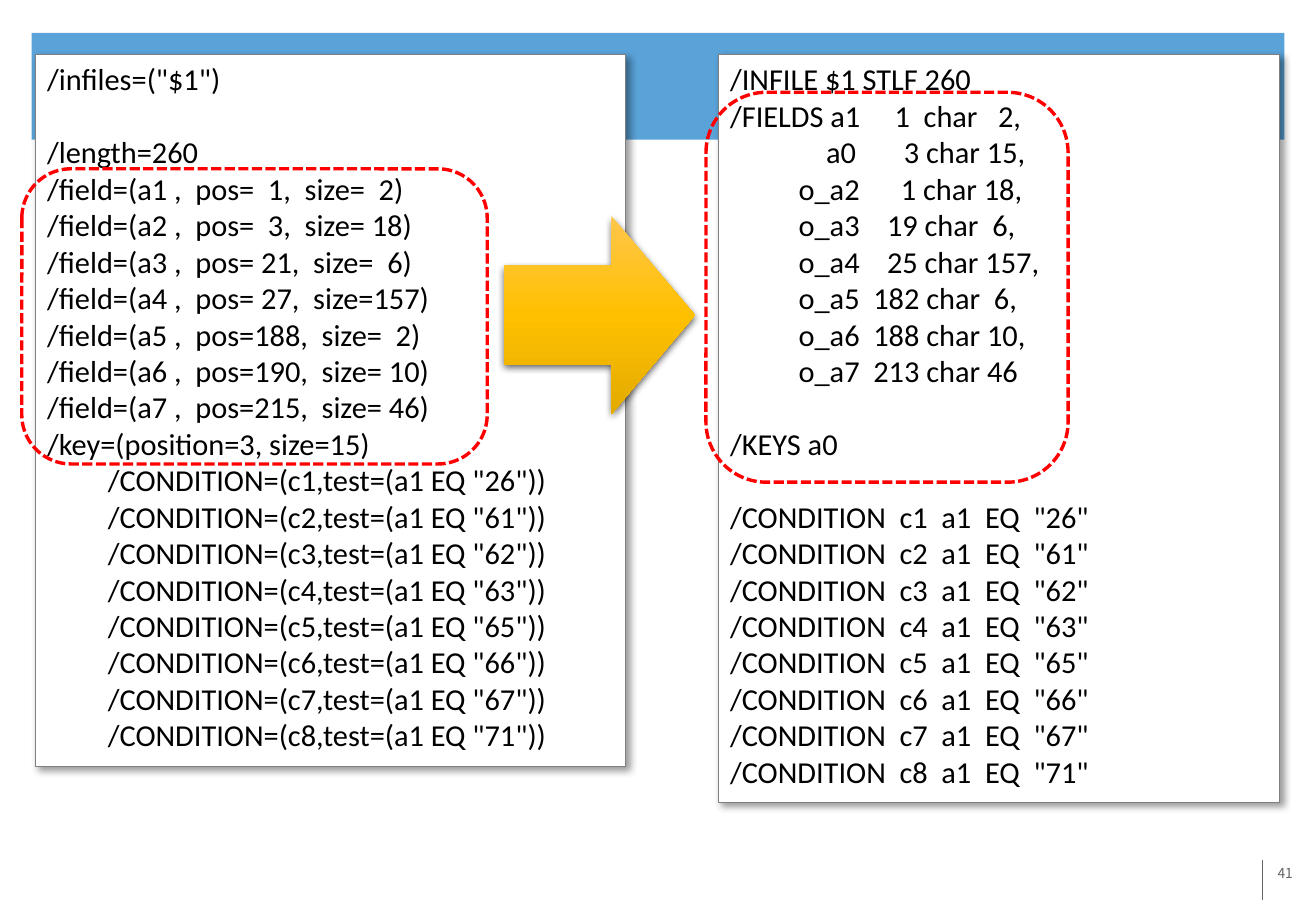
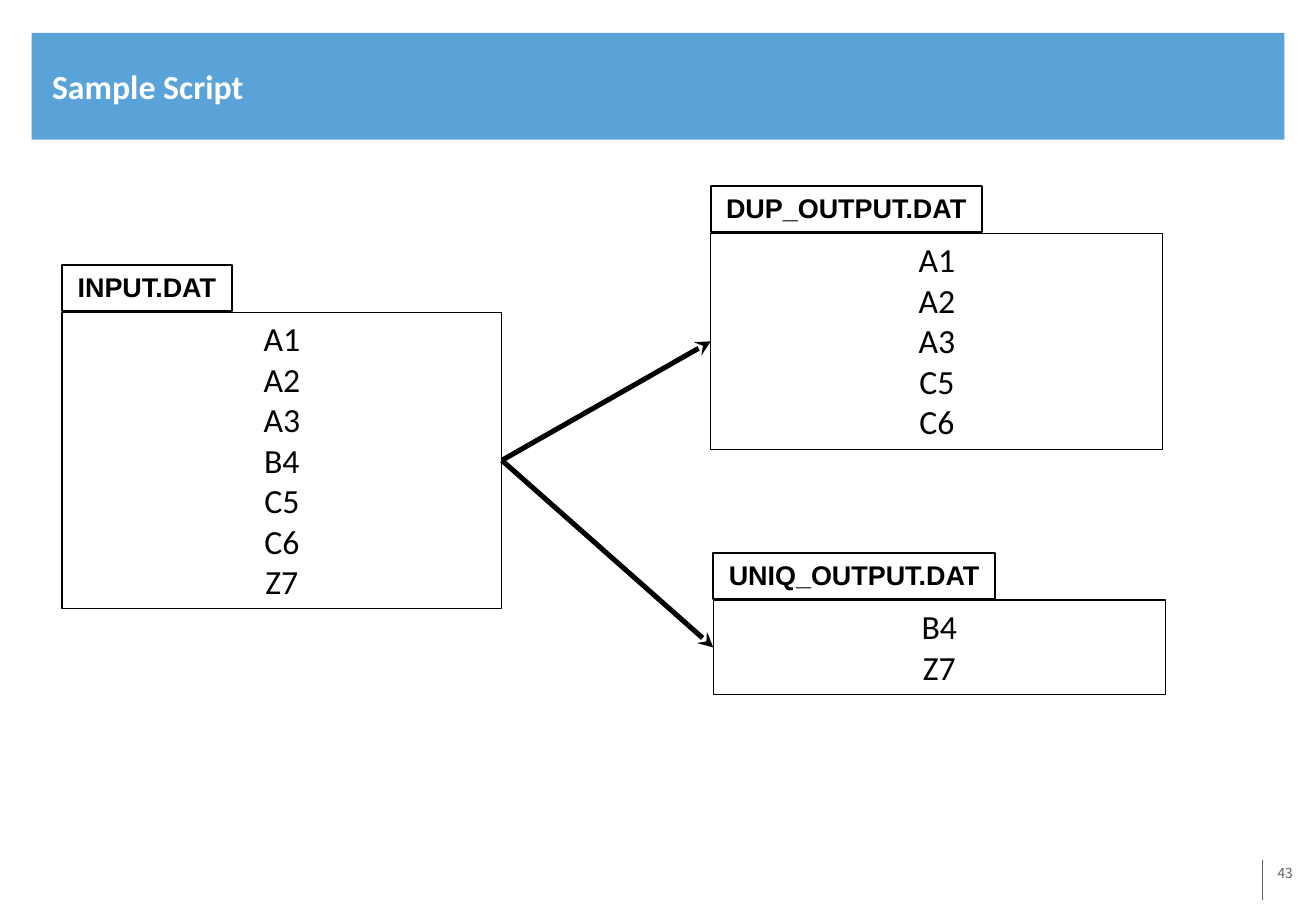
import copy

import pptx
import pptx.dml.color
import pptx.enum.dml
import pptx.enum.shapes
import pptx.enum.text
import pptx.oxml
import pptx.oxml.ns
import pptx.util
from lxml import etree

Inches = pptx.util.Inches
Pt = pptx.util.Pt
Shape = pptx.enum.shapes.MSO_SHAPE
Align = pptx.enum.text.PP_ALIGN
Anchor = pptx.enum.text.MSO_ANCHOR
qn = pptx.oxml.ns.qn

COLORS = {
    "band": "5AA3D9",
    "footer": "636467",
    "text": "000000",
    "paper": "FFFFFF",
    "border": "808080",
    "highlight": "FF0000",
    "arrow_top": "FFC64B",
    "arrow_middle": "FFC000",
    "arrow_bottom": "E3AB00",
}
CODE_SIZE = 18
CODE_LINE = 21.6


def rgb(name):
    return pptx.dml.color.RGBColor.from_string(COLORS[name])


class Painter:
    """Hold the deck style and the current slide, and draw each kind of element."""

    def __init__(self):
        self.deck = pptx.Presentation()
        self.deck.slide_width = Inches(10.83)
        self.deck.slide_height = Inches(7.5)
        self.page = None

    def new_page(self, number, title=None):
        self.page = self.deck.slides.add_slide(self.deck.slide_layouts[6])
        self.shape(Shape.RECTANGLE, (0.26, 0.27, 10.31, 0.88), fill="band")
        box = self.text_box((8.88, 7.08, 1.83, 0.5))
        frame = box.text_frame
        frame.margin_left = frame.margin_right = Inches(0.07)
        frame.margin_top = frame.margin_bottom = Inches(0.04)
        self.add_text(frame.paragraphs[0], str(number), 8.2, "footer",
                      font="Noto Sans CJK KR", align=Align.RIGHT)
        rule = self.connector((10.39, 7.08), (10.39, 7.41))
        self.outline(rule, "footer", 0.75)
        if title:
            box = self.text_box((0.33, 0.31, 10.2, 0.79))
            box.text_frame.vertical_anchor = Anchor.MIDDLE
            self.add_text(box.text_frame.paragraphs[0], title, 20, "paper", bold=True)

    def text_box(self, place):
        box = self.page.shapes.add_textbox(*map(Inches, place))
        box.text_frame.word_wrap = True
        return box

    def shape(self, kind, place, fill=None, line=None, width=0.75):
        box = self.page.shapes.add_shape(kind, *map(Inches, place))
        box.shadow.inherit = False
        if fill:
            box.fill.solid()
            box.fill.fore_color.rgb = rgb(fill)
        else:
            box.fill.background()
        if line:
            self.outline(box, line, width)
        else:
            box.line.fill.background()
        box.text_frame.word_wrap = True
        box.text_frame.vertical_anchor = Anchor.TOP
        return box

    def outline(self, item, color, width):
        item.line.color.rgb = rgb(color)
        item.line.width = Pt(width)

    def connector(self, start, end):
        line = self.page.shapes.add_connector(
            pptx.enum.shapes.MSO_CONNECTOR.STRAIGHT, *map(Inches, start + end))
        etree.SubElement(line._element.spPr, qn("a:effectLst"))
        return line

    def add_text(self, para, text, size, color="text", font="Calibri",
                 bold=False, align=Align.LEFT):
        para.alignment = align
        span = para.add_run()
        span.text = text
        span.font.size = Pt(size)
        span.font.name = font
        span.font.bold = bold
        span.font.color.rgb = rgb(color)

    def add_lines(self, box, texts, size, **style):
        frame = box.text_frame
        for index, text in enumerate(texts):
            para = frame.add_paragraph() if index else frame.paragraphs[0]
            self.add_text(para, text, size, **style)

    def cast_shadow(self, box, alpha, blur, distance, angle):
        effects = box._element.spPr.find(qn("a:effectLst"))
        shadow = etree.SubElement(
            effects, qn("a:outerShdw"), blurRad=str(Pt(blur)),
            dist=str(Pt(distance)), dir=str(angle * 60000), rotWithShape="0")
        color = etree.SubElement(shadow, qn("a:srgbClr"), val=COLORS["text"])
        etree.SubElement(color, qn("a:alpha"), val=str(alpha * 1000))

    def code_panel(self, place, blocks):
        panel = self.shape(Shape.RECTANGLE, place, "paper", "border")
        self.cast_shadow(panel, 40, 4, 3, 45)
        self.add_lines(panel, [text for block in blocks for text in block], CODE_SIZE)
        start = 0
        for block in blocks[:-1]:
            start += len(block)
            panel.text_frame.paragraphs[start].space_before = Pt(CODE_LINE)

    def highlight(self, place):
        ring = self.shape(Shape.FLOWCHART_ALTERNATE_PROCESS, place,
                          line="highlight", width=2)
        ring.line.dash_style = pptx.enum.dml.MSO_LINE.SQUARE_DOT

    def block_arrow(self, place):
        arrow = self.shape(Shape.RIGHT_ARROW, place)
        arrow.adjustments[0] = 0.5
        arrow.adjustments[1] = 0.438
        arrow.fill.gradient()
        arrow.fill.gradient_angle = 270
        stops = arrow._element.spPr.find(".//" + qn("a:gsLst"))
        stops.append(copy.deepcopy(stops[-1]))
        names = ("arrow_top", "arrow_middle", "arrow_bottom")
        for index, (stop, name) in enumerate(zip(arrow.fill.gradient_stops, names)):
            stop.position = index / 2
            stop.color.rgb = rgb(name)
        self.cast_shadow(arrow, 63, 4.5, 1.5, 90)

    def data_file(self, name, label_width, place, records):
        box = self.shape(Shape.RECTANGLE, place, line="text")
        self.add_lines(box, records, 20, align=Align.CENTER)
        left, top = place[:2]
        label = self.shape(Shape.RECTANGLE, (left, top - 0.39, label_width, 0.38),
                           line="text", width=1)
        label.text_frame.word_wrap = False
        self.add_lines(label, [name], 16, font="Arial", bold=True, align=Align.CENTER)
        return box

    def flow(self, source, target):
        line = self.connector((0, 0), (1, 1))
        line.begin_connect(source, 3)
        line.end_connect(target, 1)
        self.outline(line, "text", 3)
        stroke = line._element.spPr.find(qn("a:ln"))
        etree.SubElement(stroke, qn("a:tailEnd"), type="stealth")


def conversion_page(painter):
    codes = list(enumerate((26, 61, 62, 63, 65, 66, 67, 71), 1))
    fields = ((1, 2), (3, 18), (21, 6), (27, 157), (188, 2), (190, 10), (215, 46))
    old_script = [
        ['/infiles=("$1")'],
        ["/length=260"]
        + [f"/field=(a{number} ,  pos={start:>3},  size={size:>3})"
           for number, (start, size) in enumerate(fields, 1)]
        + ["/key=(position=3, size=15)"]
        + [f'\t/CONDITION=(c{number},test=(a1 EQ "{code}"))' for number, code in codes],
    ]
    new_script = [
        [
            "/INFILE $1 STLF 260",
            "/FIELDS a1     1  char   2,",
            "              a0       3 char 15,",
            "          o_a2      1 char 18,",
            "          o_a3    19 char  6,",
            "          o_a4    25 char 157,",
            "          o_a5  182 char  6,",
            "          o_a6  188 char 10,",
            "          o_a7  213 char 46",
        ],
        ["/KEYS a0"],
        [f'/CONDITION  c{number}  a1  EQ  "{code}"' for number, code in codes],
    ]
    painter.new_page(41)
    painter.code_panel((5.91, 0.45, 4.62, 6.16), new_script)
    painter.code_panel((0.29, 0.45, 4.86, 5.86), old_script)
    painter.block_arrow((4.15, 1.78, 1.57, 1.63))
    painter.highlight((0.18, 1.39, 3.83, 2.43))
    painter.highlight((5.81, 0.76, 2.98, 3.21))


def sample_page(painter):
    painter.new_page(43, "Sample Script")
    source = painter.data_file("INPUT.DAT", 1.4, (0.51, 2.57, 3.62, 2.44),
                               ("A1", "A2", "A3", "B4", "C5", "C6", "Z7"))
    duplicates = painter.data_file("DUP_OUTPUT.DAT", 2.23, (5.85, 1.92, 3.72, 1.78),
                                   ("A1", "A2", "A3", "C5", "C6"))
    uniques = painter.data_file("UNIQ_OUTPUT.DAT", 2.32, (5.87, 4.94, 3.72, 0.78),
                                ("B4", "Z7"))
    for target in (duplicates, uniques):
        painter.flow(source, target)


def main():
    painter = Painter()
    conversion_page(painter)
    sample_page(painter)
    painter.deck.save("out.pptx")


if __name__ == "__main__":
    main()
